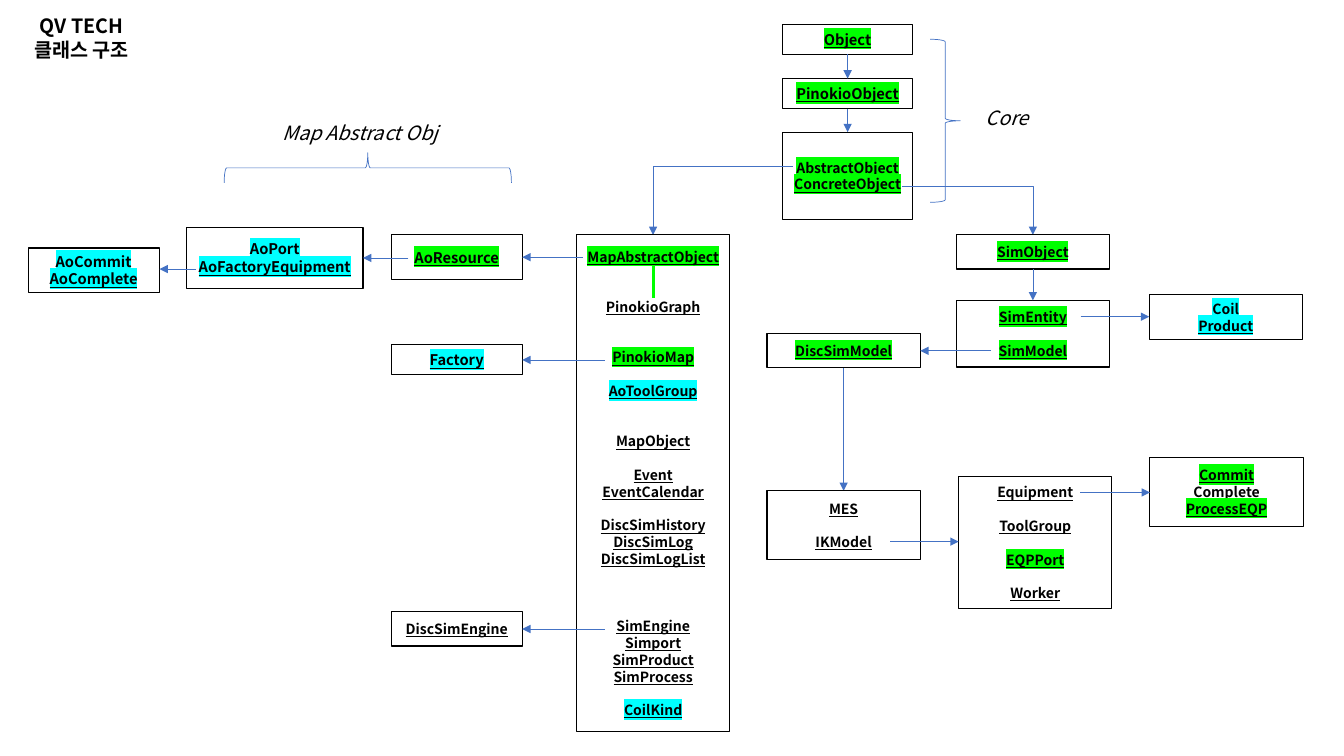
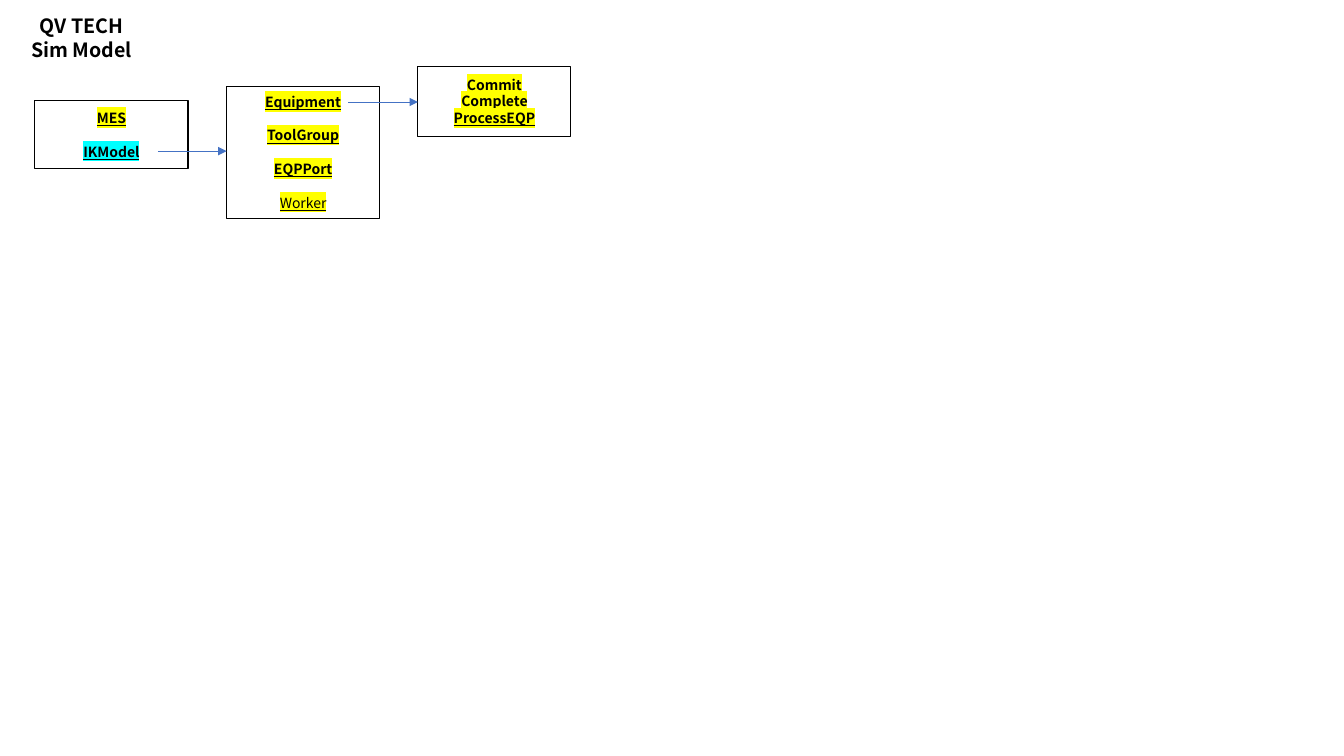
import dataclasses

import lxml.etree
import pptx
import pptx.dml.color
import pptx.enum.shapes
import pptx.enum.text
import pptx.oxml.ns
import pptx.util

Cm = pptx.util.Cm
Pt = pptx.util.Pt
qn = pptx.oxml.ns.qn
SHAPE = pptx.enum.shapes.MSO_SHAPE
CONNECTOR = pptx.enum.shapes.MSO_CONNECTOR
ANCHOR = pptx.enum.text.MSO_ANCHOR
ALIGN = pptx.enum.text.PP_ALIGN

COLORS = {
    "ink": "000000",
    "arrow": "4472C4",
    "green": "00FF00",
    "cyan": "00FFFF",
    "yellow": "FFFF00",
}
FONT = "Noto Sans CJK KR"
LEADING = 1.2
NARROW, WIDE = 3.3, 3.86


@dataclasses.dataclass
class Name:
    """A class name: its highlight and the empty lines above it."""
    text: str
    mark: str = ""
    gap: int = 0
    bold: bool = True


class Diagram:
    """Holds the presentation, the current slide and the shared style."""

    def __init__(self):
        """Start a wide, empty presentation."""
        self.deck = pptx.Presentation()
        self.deck.slide_width = Cm(33.87)
        self.deck.slide_height = Cm(19.05)
        self.slide = None

    def color(self, key):
        """Return a named colour."""
        return pptx.dml.color.RGBColor.from_string(COLORS[key])

    def new_slide(self, *title_lines):
        """Add a blank slide with its title."""
        self.slide = self.deck.slides.add_slide(self.deck.slide_layouts[6])
        self.label(0.41, 0.23, NARROW, 1.45, title_lines, bold=True, align=ALIGN.CENTER)

    def fill_text(self, shape, names, size, align, underline=False, italic=False):
        """Fill a shape with one paragraph for each name."""
        frame = shape.text_frame
        frame.word_wrap = True
        for index, name in enumerate(names):
            paragraph = frame.paragraphs[0] if index == 0 else frame.add_paragraph()
            paragraph.alignment = align
            paragraph.line_spacing = Pt(size * LEADING)
            paragraph.space_before = Pt(name.gap * size * LEADING)
            font = paragraph.font
            font.name, font.size = FONT, Pt(size)
            font.bold, font.italic, font.underline = name.bold, italic, underline
            font.color.rgb = self.color("ink")
            run = paragraph.add_run()
            run.text = name.text
            if name.mark:
                properties = run._r.get_or_add_rPr()
                highlight = lxml.etree.SubElement(properties, qn("a:highlight"))
                lxml.etree.SubElement(highlight, qn("a:srgbClr"), val=COLORS[name.mark])
        for latin in list(shape.element.iter(qn("a:latin"))):
            east_asian = lxml.etree.Element(qn("a:ea"), typeface=FONT)
            latin.addnext(east_asian)

    def label(self, x, y, width, height, lines, bold=False, italic=False, align=ALIGN.LEFT):
        """Add free text for a title or a group caption."""
        text_box = self.slide.shapes.add_textbox(Cm(x), Cm(y), Cm(width), Cm(height))
        names = [Name(line, bold=bold) for line in lines]
        self.fill_text(text_box, names, 14, align, italic=italic)

    def outline(self, kind, x, y, width, height, color, weight):
        """Add an unfilled shape."""
        shape = self.slide.shapes.add_shape(kind, Cm(x), Cm(y), Cm(width), Cm(height))
        shape.shadow.inherit = False
        shape.fill.background()
        shape.line.color.rgb = self.color(color)
        shape.line.width = Pt(weight)
        return shape

    def box(self, x, y, width, height, *names, size=10):
        """Add a box that lists class names."""
        shape = self.outline(SHAPE.RECTANGLE, x, y, width, height, "ink", 0.75)
        shape.text_frame.margin_left = shape.text_frame.margin_right = 0
        shape.text_frame.vertical_anchor = ANCHOR.MIDDLE
        self.fill_text(shape, names, size, ALIGN.CENTER, underline=True)

    def brace(self, x, y, width, height, rotation=0):
        """Add a brace that groups boxes."""
        shape = self.outline(SHAPE.RIGHT_BRACE, x, y, width, height, "arrow", 0.5)
        shape.rotation = rotation

    def line(self, x1, y1, x2, y2, color="arrow", weight=0.5):
        """Add a straight line without a shadow."""
        connector = self.slide.shapes.add_connector(
            CONNECTOR.STRAIGHT, Cm(x1), Cm(y1), Cm(x2), Cm(y2))
        connector.line.color.rgb = self.color(color)
        connector.line.width = Pt(weight)
        lxml.etree.SubElement(connector.element.spPr, qn("a:effectLst"))
        return connector

    def arrow(self, x1, y1, x2, y2):
        """Add an arrow; one that changes both x and y turns a corner."""
        connector = self.line(x1, y1, x2, y2)
        stroke = connector.element.spPr.find(qn("a:ln"))
        lxml.etree.SubElement(stroke, qn("a:tailEnd"), type="triangle")
        if x1 != x2 and y1 != y2:
            connector.element.spPr.find(qn("a:prstGeom")).set("prst", "bentConnector2")

    def model_group(self, x, y, models, resources, equipment):
        """Add the model, resource and equipment boxes with their arrows."""
        self.box(x, y, WIDE, 1.73, *models)
        self.box(x + 4.83, y - 0.36, WIDE, 3.33, *resources)
        self.box(x + 9.65, y - 0.85, WIDE, 1.75, *equipment)
        self.arrow(x + 3.1, y + 1.28, x + 4.83, y + 1.28)
        self.arrow(x + 7.9, y + 0.04, x + 9.65, y + 0.04)


def core_classes(diagram):
    """Draw the core classes and the arrows that leave them."""
    left, middle = 19.71, 21.36
    diagram.box(left, 0.61, NARROW, 0.76, Name("Object", "green"), size=10.5)
    diagram.box(left, 1.98, NARROW, 0.76, Name("PinokioObject", "green"), size=10.5)
    diagram.box(left, 3.33, NARROW, 2.21,
                Name("AbstractObject", "green"), Name("ConcreteObject", "green"))
    diagram.arrow(middle, 1.37, middle, 1.98)
    diagram.arrow(middle, 2.74, middle, 3.33)
    diagram.brace(23.44, 0.99, 0.76, 4.11)
    diagram.label(24.59, 2.54, 2.24, 0.86, ["Core"], italic=True)
    diagram.arrow(19.99, 4.19, 16.46, 5.92)
    diagram.arrow(22.73, 4.7, 26.03, 5.92)


def map_classes(diagram):
    """Draw the abstract map classes on the left half."""
    diagram.box(
        14.53, 5.92, WIDE, 12.52,
        Name("MapAbstractObject", "green"), Name("PinokioGraph", gap=2),
        Name("PinokioMap", "green", 2), Name("AoToolGroup", "cyan", 1),
        Name("MapObject", gap=2), Name("Event", gap=1), Name("EventCalendar"),
        Name("DiscSimHistory", gap=1), Name("DiscSimLog"), Name("DiscSimLogList"),
        Name("SimEngine", gap=3), Name("Simport"), Name("SimProduct"),
        Name("SimProcess"), Name("CoilKind", "cyan", 1))
    diagram.line(16.46, 6.7, 16.46, 7.52, "green", 2.25)

    diagram.brace(8.89, 0.61, 0.76, 7.24, rotation=270)
    diagram.label(6.86, 2.92, 5.16, 0.86, ["Map Abstract Obj"], italic=True)
    left = 9.86
    diagram.box(left, 5.92, NARROW, 1.12, Name("AoResource", "green"), size=10.5)
    diagram.box(4.7, 5.74, 4.45, 1.52,
                Name("AoPort", "cyan"), Name("AoFactoryEquipment", "cyan"), size=10.5)
    diagram.box(0.71, 6.25, NARROW, 1.12,
                Name("AoCommit", "cyan"), Name("AoComplete", "cyan"), size=10.5)
    diagram.box(left, 8.69, NARROW, 0.76, Name("Factory", "cyan"), size=10.5)
    diagram.box(left, 15.42, NARROW, 0.86, Name("DiscSimEngine"))
    for start, end, y in [(14.68, 13.16, 6.48), (10.29, 9.15, 6.5), (4.93, 4.02, 6.78),
                          (15.24, 13.16, 9.07), (15.24, 13.16, 15.85)]:
        diagram.arrow(start, y, end, y)


def simulation_classes(diagram):
    """Draw the simulation classes on the right half."""
    diagram.box(24.1, 5.92, WIDE, 0.86, Name("SimObject", "green"))
    diagram.box(24.1, 7.57, WIDE, 1.68,
                Name("SimEntity", "green"), Name("SimModel", "green", 1))
    diagram.box(28.96, 7.42, WIDE, 1.14, Name("Coil", "cyan"), Name("Product", "cyan"))
    diagram.box(19.33, 8.41, WIDE, 0.86, Name("DiscSimModel", "green"))
    diagram.arrow(26.03, 6.78, 26.03, 7.57)
    diagram.arrow(27.23, 7.98, 28.96, 7.98)
    diagram.arrow(24.97, 8.84, 23.19, 8.84)
    diagram.arrow(21.26, 9.27, 21.26, 12.37)
    diagram.model_group(
        19.33, 12.37,
        [Name("MES"), Name("IKModel", gap=1)],
        [Name("Equipment"), Name("ToolGroup", gap=1),
         Name("EQPPort", "green", 1), Name("Worker", gap=1)],
        [Name("Commit", "green"), Name("Complete"), Name("ProcessEQP", "green")])


def main():
    """Build both slides and save them."""
    diagram = Diagram()
    diagram.new_slide("QV TECH", "클래스 구조")
    core_classes(diagram)
    map_classes(diagram)
    simulation_classes(diagram)

    diagram.new_slide("QV TECH", "Sim Model")
    diagram.model_group(
        0.88, 2.53,
        [Name("MES", "yellow"), Name("IKModel", "cyan", 1)],
        [Name("Equipment", "yellow"), Name("ToolGroup", "yellow", 1),
         Name("EQPPort", "yellow", 1), Name("Worker", "yellow", 1, bold=False)],
        [Name(text, "yellow") for text in ("Commit", "Complete", "ProcessEQP")])
    diagram.deck.save("out.pptx")


main()
